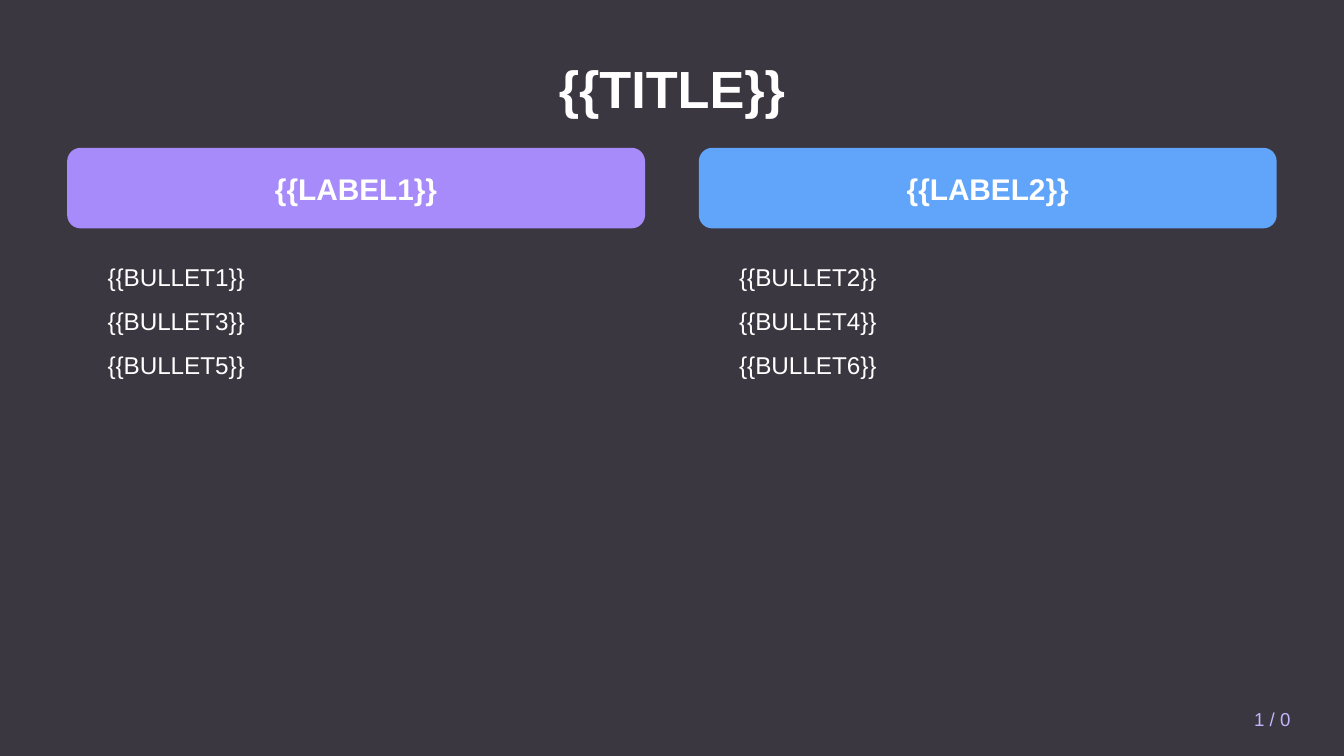
from lxml import etree
from pptx import Presentation
from pptx import util as u
from pptx.dml.color import RGBColor
from pptx.enum import shapes, text
from pptx.oxml import ns

WHITE = RGBColor(0xFF, 0xFF, 0xFF)
NIGHT = RGBColor(0x0A, 0x06, 0x12)
VIOLET = RGBColor(0xA7, 0x8B, 0xFA)
BLUE = RGBColor(0x60, 0xA5, 0xFA)
LILAC = RGBColor(0xC4, 0xB5, 0xFD)
WIDTH = 10
HEIGHT = WIDTH * 9 / 16
MARGIN, COLUMN_WIDTH, GUTTER = 0.5, 4.3, 0.4
COLUMNS = [
    ("{{LABEL1}}", VIOLET, ["{{BULLET1}}", "{{BULLET3}}", "{{BULLET5}}"]),
    ("{{LABEL2}}", BLUE, ["{{BULLET2}}", "{{BULLET4}}", "{{BULLET6}}"]),
]


def write(frame, lines, size, color=WHITE, bold=False, align=text.PP_ALIGN.LEFT,
          anchor=text.MSO_ANCHOR.MIDDLE, after=0):
    """Fill a text frame with one plain paragraph per line."""
    frame.word_wrap = True
    frame.auto_size = text.MSO_AUTO_SIZE.NONE
    frame.vertical_anchor = anchor
    for index, line in enumerate(lines):
        paragraph = frame.paragraphs[0] if index == 0 else frame.add_paragraph()
        paragraph.alignment = align
        paragraph.space_before = u.Pt(0)
        paragraph.space_after = u.Pt(after)
        properties = paragraph._p.get_or_add_pPr()
        properties.set("marL", "0")
        properties.set("indent", "0")
        etree.SubElement(properties, ns.qn("a:buNone"))
        run = paragraph.add_run()
        run.text = line
        run.font.name = "Arial"
        run.font.size = u.Pt(size)
        run.font.bold = bold
        run.font.color.rgb = color


class ComparisonSlide:
    """Hold the shared style and the current slide."""

    def __init__(self, deck):
        """Add a two-content slide to the deck."""
        self.slide = deck.slides.add_slide(deck.slide_layouts[3])
        self.slide.background.fill.solid()
        self.slide.background.fill.fore_color.rgb = WHITE

    def panel(self, kind, box, color):
        """Draw a filled shape without outline or shadow."""
        panel = self.slide.shapes.add_shape(kind, *map(u.Inches, box))
        panel.shadow.inherit = False
        panel.fill.solid()
        panel.fill.fore_color.rgb = color
        panel.line.fill.background()
        return panel

    def overlay(self):
        """Lay a translucent dark sheet behind everything else."""
        sheet = self.panel(shapes.MSO_SHAPE.RECTANGLE, (0, 0, WIDTH, HEIGHT), NIGHT)
        tint = sheet.element.spPr.find(".//" + ns.qn("a:srgbClr"))
        etree.SubElement(tint, ns.qn("a:alpha")).set("val", "80000")
        self.slide.shapes.title.element.addprevious(sheet.element)

    def placeholder(self, index, box, lines, size, **style):
        """Move a layout placeholder and write its text."""
        holder = self.slide.placeholders[index]
        holder.left, holder.top, holder.width, holder.height = map(u.Inches, box)
        write(holder.text_frame, lines, size, **style)

    def label(self, box, caption, color):
        """Draw a rounded column heading."""
        heading = self.panel(shapes.MSO_SHAPE.ROUNDED_RECTANGLE, box, color)
        write(heading.text_frame, [caption], 16, bold=True, align=text.PP_ALIGN.CENTER)

    def page_number(self, box, number):
        """Write the page number at the bottom right."""
        footer = self.slide.shapes.add_textbox(*map(u.Inches, box))
        write(footer.text_frame, [number], 10, color=LILAC, align=text.PP_ALIGN.RIGHT)


def main():
    """Build and save the comparison slide."""
    deck = Presentation()
    deck.slide_width, deck.slide_height = u.Inches(WIDTH), u.Inches(HEIGHT)
    page = ComparisonSlide(deck)
    page.overlay()
    page.placeholder(0, (MARGIN, 0.3, WIDTH - 2 * MARGIN, 0.7), ["{{TITLE}}"], 28,
                     bold=True, align=text.PP_ALIGN.CENTER)
    for index, (caption, color, bullets) in enumerate(COLUMNS):
        left = MARGIN + index * (COLUMN_WIDTH + GUTTER)
        page.label((left, 1.1, COLUMN_WIDTH, 0.6), caption, color)
        page.placeholder(index + 1, (left + 0.2, 1.9, COLUMN_WIDTH - 0.4, 2.8), bullets, 13,
                         anchor=text.MSO_ANCHOR.TOP, after=8)
    page.page_number((8.5, 5.2, 1.2, 0.3), "1 / 0")
    deck.save("out.pptx")


if __name__ == "__main__":
    main()
